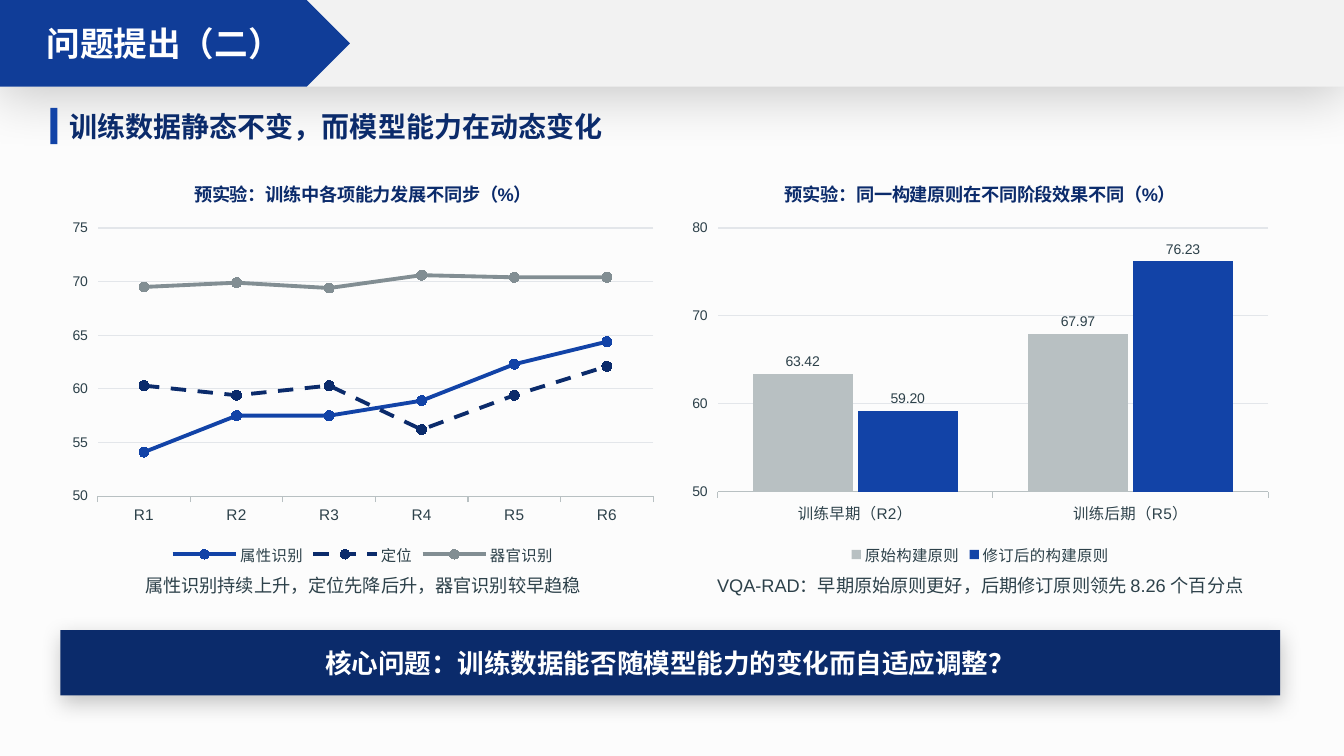
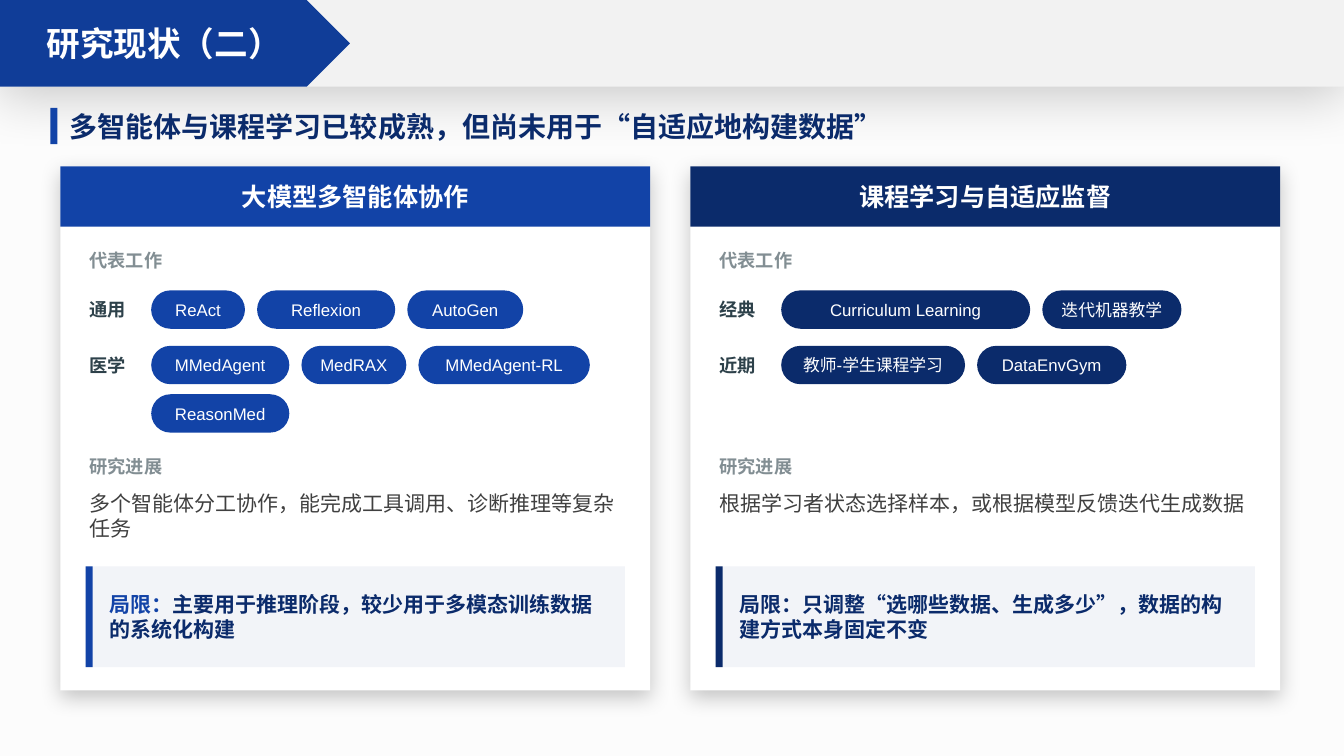
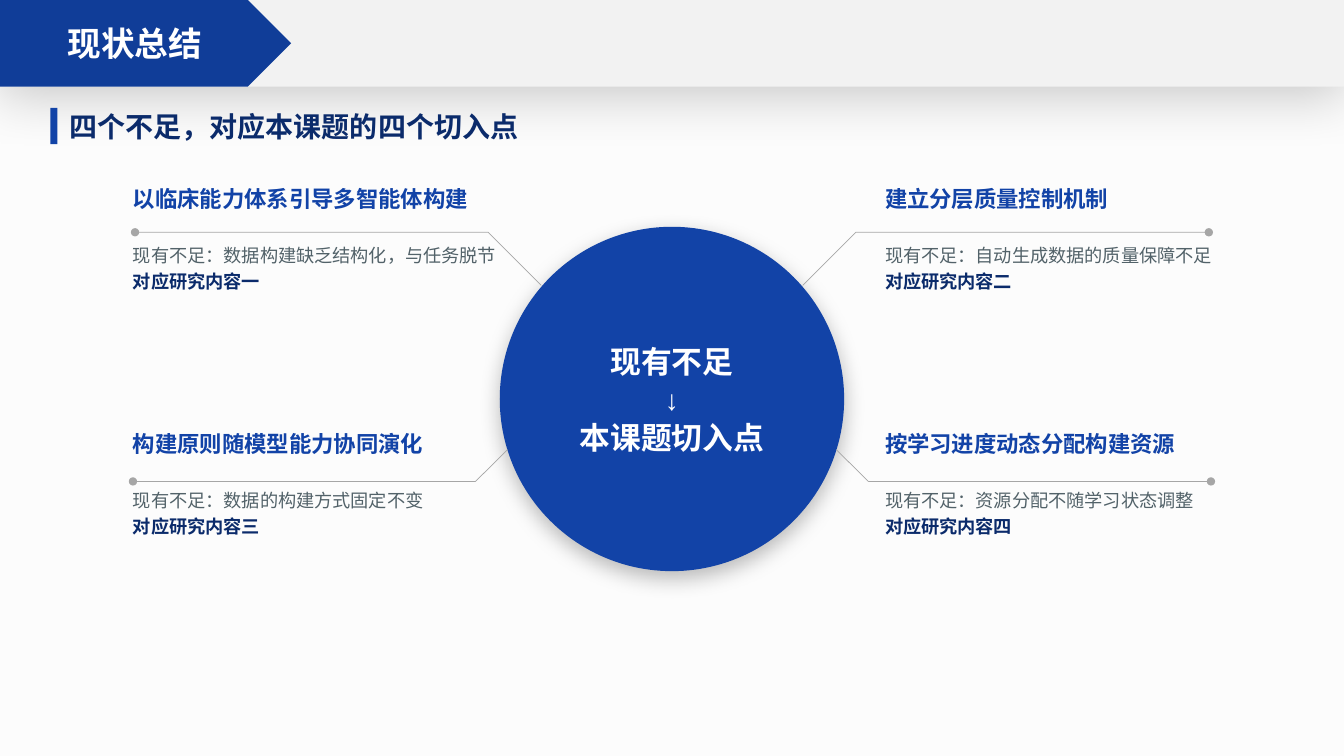
from lxml import etree
from pptx import Presentation
from pptx.chart.data import CategoryChartData
from pptx.dml.color import RGBColor
from pptx.enum.chart import XL_CHART_TYPE, XL_LABEL_POSITION, XL_LEGEND_POSITION, XL_MARKER_STYLE
from pptx.enum.dml import MSO_LINE
from pptx.enum.shapes import MSO_SHAPE
from pptx.enum.text import MSO_ANCHOR, PP_ALIGN
from pptx.oxml import parse_xml
from pptx.oxml.ns import nsdecls, qn
from pptx.util import Pt

W, H = 960, 540
FONT = "Arial"
BLUE, NAVY, TAG = "1243A7", "0B2B6B", "103D98"
WHITE, PAGE, BAND, PANEL = "FFFFFF", "FCFCFC", "F2F2F2", "F2F4F8"
INK, BODY, NOTE, MUTED = "2D414A", "404040", "526269", "828E93"
SILVER, GRID, LEADER = "B8C0C2", "E3E6EA", "A6A6A6"
LEFT, BAND_H = 43.2, 61.9
TEXT_INS, BOX_INS, PILL_INS = (2.9, 1.4), (5.8, 2.2), (2.9, 2.2)
CARD_SHADOW = (22, 15, 5)

CHARTS = [
    dict(x=43.2, w=432, kind=XL_CHART_TYPE.LINE_MARKERS, top=75, step=5,
         title="预实验：训练中各项能力发展不同步（%）",
         cats=["R1", "R2", "R3", "R4", "R5", "R6"],
         series=[("属性识别", BLUE, [54.1, 57.5, 57.5, 58.9, 62.3, 64.4]),
                 ("定位", NAVY, [60.3, 59.4, 60.3, 56.2, 59.4, 62.1]),
                 ("器官识别", MUTED, [69.5, 69.9, 69.4, 70.6, 70.4, 70.4])],
         dashed="定位",
         caption="属性识别持续上升，定位先降后升，器官识别较早趋稳"),
    dict(x=486, w=428.4, kind=XL_CHART_TYPE.COLUMN_CLUSTERED, top=80, step=10,
         title="预实验：同一构建原则在不同阶段效果不同（%）",
         cats=["训练早期（R2）", "训练后期（R5）"],
         series=[("原始构建原则", SILVER, [63.42, 67.97]),
                 ("修订后的构建原则", BLUE, [59.2, 76.23])],
         caption="VQA-RAD：早期原始原则更好，后期修订原则领先 8.26 个百分点"),
]

CARDS = [
    dict(title="大模型多智能体协作", color=BLUE,
         works=[("通用", ["ReAct", "Reflexion", "AutoGen"]),
                ("医学", ["MMedAgent", "MedRAX", "MMedAgent-RL", "ReasonMed"])],
         progress="多个智能体分工协作，能完成工具调用、诊断推理等复杂任务",
         limit="主要用于推理阶段，较少用于多模态训练数据的系统化构建"),
    dict(title="课程学习与自适应监督", color=NAVY,
         works=[("经典", ["Curriculum Learning", "迭代机器教学"]),
                ("近期", ["教师-学生课程学习", "DataEnvGym"])],
         progress="根据学习者状态选择样本，或根据模型反馈迭代生成数据",
         limit="只调整“选哪些数据、生成多少”，数据的构建方式本身固定不变"),
]

GAPS = [
    ("以临床能力体系引导多智能体构建", "数据构建缺乏结构化，与任务脱节", "一"),
    ("建立分层质量控制机制", "自动生成数据的质量保障不足", "二"),
    ("构建原则随模型能力协同演化", "数据的构建方式固定不变", "三"),
    ("按学习进度动态分配构建资源", "资源分配不随学习状态调整", "四"),
]
GAP_COLS = [(95, 270), (632.2, 259.2)]
GAP_ROWS = [133.2, 308.2]
LEADERS = [[(96.5, 165.9), (348.7, 165.9), (386.6, 203.8)],
           [(95, 343.9), (339.7, 343.9), (362.6, 321.2)]]


def rgb(hex_text):
    return RGBColor.from_string(hex_text)


def style(font, size, color, bold=False):
    font.name, font.size, font.bold = FONT, Pt(size), bold
    font.color.rgb = rgb(color)


def write(sp, paras, align=PP_ALIGN.LEFT, anchor=MSO_ANCHOR.MIDDLE, ins=TEXT_INS):
    tf = sp.text_frame
    tf.word_wrap = True
    tf.vertical_anchor = anchor
    tf.margin_left = tf.margin_right = Pt(ins[0])
    tf.margin_top = tf.margin_bottom = Pt(ins[1])
    for i, (before, runs) in enumerate(paras):
        p = tf.add_paragraph() if i else tf.paragraphs[0]
        p.alignment = align
        if before:
            p.space_before = Pt(before)
        for text, size, color, bold in runs:
            r = p.add_run()
            r.text = text
            style(r.font, size, color, bold)
    return tf


def label(s, x, y, w, h, text, size, color, bold=False, **kw):
    sp = s.shapes.add_textbox(Pt(x), Pt(y), Pt(w), Pt(h))
    write(sp, [(0, [(text, size, color, bold)])], **kw)


def box(s, x, y, w, h, fill, kind=MSO_SHAPE.RECTANGLE, shadow=None):
    sp = s.shapes.add_shape(kind, Pt(x), Pt(y), Pt(w), Pt(h))
    sp.fill.solid()
    sp.fill.fore_color.rgb = rgb(fill)
    sp.line.fill.background()
    sp.shadow.inherit = False
    if shadow:
        alpha, blur, dist = shadow
        sp._element.spPr.find(qn("a:effectLst")).append(parse_xml(
            f'<a:outerShdw {nsdecls("a")} blurRad="{Pt(blur)}" dist="{Pt(dist)}" dir="5400000" '
            f'algn="t" rotWithShape="0"><a:srgbClr val="000000"><a:alpha val="{alpha * 1000}"/>'
            '</a:srgbClr></a:outerShdw>'))
    return sp


def caption_box(s, x, y, w, h, fill, text, size, ins=BOX_INS, bold=True, **kw):
    sp = box(s, x, y, w, h, fill, **kw)
    write(sp, [(0, [(text, size, WHITE, bold)])], PP_ALIGN.CENTER, ins=ins)
    return sp


def new_slide(prs, tag, heading, tag_w=250):
    s = prs.slides.add_slide(prs.slide_layouts[6])
    box(s, 0, 0, W, BAND_H, BAND, shadow=(20, 38, 7))
    caption_box(s, 0, 0, tag_w, BAND_H, TAG, tag, 24, ins=(7.2, 3.6), kind=MSO_SHAPE.PENTAGON)
    box(s, 36, 77, 5, 26, BLUE)
    label(s, 46.8, 72, 871.2, 36, heading, 20, NAVY, True)
    return s


def add_chart(s, c):
    data = CategoryChartData()
    data.categories = c["cats"]
    for name, _, values in c["series"]:
        data.add_series(name, values)
    chart = s.shapes.add_chart(c["kind"], Pt(c["x"]), Pt(115.2), Pt(c["w"]), Pt(291.6), data).chart
    style(chart.font, 11, INK)
    chart.has_title = True
    r = chart.chart_title.text_frame.paragraphs[0].add_run()
    r.text = c["title"]
    style(r.font, 13, NAVY, True)
    chart.has_legend = True
    chart.legend.position = XL_LEGEND_POSITION.BOTTOM
    chart.legend.include_in_layout = False
    style(chart.legend.font, 11, INK)
    cat, val = chart.category_axis, chart.value_axis
    style(cat.tick_labels.font, 11, INK)
    style(val.tick_labels.font, 10, INK)
    val.minimum_scale, val.maximum_scale, val.major_unit = 50, c["top"], c["step"]
    val.format.line.fill.background()
    for line, color in ((cat.format.line, SILVER), (val.major_gridlines.format.line, GRID)):
        line.color.rgb = rgb(color)
        line.width = Pt(0.75)
    plot = chart.plots[0]
    plot.vary_by_categories = False
    is_line = c["kind"] == XL_CHART_TYPE.LINE_MARKERS
    if not is_line:
        plot.gap_width, plot.overlap = 70, -5
    for ser, (name, color, _) in zip(plot.series, c["series"]):
        if is_line:
            ser.smooth = False
            ser.format.line.color.rgb = rgb(color)
            ser.format.line.width = Pt(2.75)
            if name == c["dashed"]:
                ser.format.line.dash_style = MSO_LINE.DASH
            ser.marker.style, ser.marker.size = XL_MARKER_STYLE.CIRCLE, 7
            ser.marker.format.line.color.rgb = rgb(color)
            fill = ser.marker.format.fill
        else:
            fill = ser.format.fill
            labels = ser.data_labels
            labels.show_value = True
            labels.position = XL_LABEL_POSITION.OUTSIDE_END
            labels.number_format, labels.number_format_is_linked = "0.00", False
            style(labels.font, 10, INK)
        fill.solid()
        fill.fore_color.rgb = rgb(color)


def pill_width(text):
    return 27.4 + sum(7.92 if ch.isascii() else 12 for ch in text)


def add_card(s, x, card):
    color, inner, inner_w = card["color"], x + 18, 385.2
    box(s, x, 118.8, 421.2, 374.4, WHITE, shadow=CARD_SHADOW)
    caption_box(s, x, 118.8, 421.2, 43.2, color, card["title"], 18)
    for y, text in ((176.4, "代表工作"), (324, "研究进展")):
        label(s, inner, y, 216, 25.2, text, 13, MUTED, True, anchor=MSO_ANCHOR.TOP)
    for i, (group, names) in enumerate(card["works"]):
        y = 207.4 + i * 39.6
        label(s, inner, y, 43.2, 27.4, group, 13, INK, True)
        px = x + 64.8
        for name in names:
            w = pill_width(name)
            if px + w > inner + inner_w:
                px, y = x + 64.8, y + 34.6
            sp = caption_box(s, px, y, w, 27.4, color, name, 12, ins=PILL_INS, bold=False,
                             kind=MSO_SHAPE.ROUNDED_RECTANGLE)
            sp.adjustments[0] = 0.5
            px += w + 8.64
    label(s, inner, 349.2, inner_w, 50.4, card["progress"], 15, BODY, anchor=MSO_ANCHOR.TOP)
    box(s, inner, 404.6, inner_w, 72, PANEL)
    box(s, inner, 404.6, 5, 72, color)
    sp = s.shapes.add_textbox(Pt(inner + 14.4), Pt(404.6), Pt(360), Pt(72))
    write(sp, [(0, [("局限：", 15, color, True), (card["limit"], 15, NAVY, True)])])


def add_leader(s, points):
    pts = [(Pt(x), Pt(y)) for x, y in points]
    fb = s.shapes.build_freeform(*pts[0])
    fb.add_line_segments(pts[1:], close=False)
    sp = fb.convert_to_shape()
    sp.fill.background()
    sp.line.color.rgb = rgb(LEADER)
    sp.line.width = Pt(0.5)
    sp.shadow.inherit = False
    etree.SubElement(sp.line._get_or_add_ln(), qn("a:headEnd"), type="oval")


def build_question(prs):
    s = new_slide(prs, "问题提出（二）", "训练数据静态不变，而模型能力在动态变化")
    for c in CHARTS:
        add_chart(s, c)
        label(s, c["x"], 409, c["w"], 32.4, c["caption"], 13, INK,
              align=PP_ALIGN.CENTER, anchor=MSO_ANCHOR.TOP)
    caption_box(s, LEFT, 450, 871.2, 46.8, NAVY,
                "核心问题：训练数据能否随模型能力的变化而自适应调整？", 19, shadow=CARD_SHADOW)


def build_status(prs):
    s = new_slide(prs, "研究现状（二）", "多智能体与课程学习已较成熟，但尚未用于“自适应地构建数据”")
    for i, card in enumerate(CARDS):
        add_card(s, LEFT + i * 450, card)


def build_summary(prs):
    s = new_slide(prs, "现状总结", "四个不足，对应本课题的四个切入点", tag_w=208)
    hub = box(s, W / 2 - 123, 162, 246, 246, BLUE, MSO_SHAPE.OVAL, (25, 15, 5))
    write(hub, [(0, [("现有不足", 22, WHITE, True)]),
                (2, [("↓", 20, WHITE, False)]),
                (2, [("本课题切入点", 22, WHITE, True)])], PP_ALIGN.CENTER, ins=(7.2, 3.6))
    for i, (entry, lack, number) in enumerate(GAPS):
        x, w = GAP_COLS[i % 2]
        sp = s.shapes.add_textbox(Pt(x), Pt(GAP_ROWS[i // 2]), Pt(w), Pt(125.3))
        tf = write(sp, [(0, [(entry, 16, BLUE, True)]),
                        (23, [("现有不足：" + lack, 13, NOTE, False)]),
                        (3, [("对应研究内容" + number, 13, NAVY, True)])],
                   anchor=MSO_ANCHOR.TOP, ins=(0, 0))
        tf.paragraphs[0].line_spacing = Pt(18)
    for points in LEADERS:
        add_leader(s, points)
        add_leader(s, [(W - x, y) for x, y in points])


def main():
    prs = Presentation()
    prs.slide_width, prs.slide_height = Pt(W), Pt(H)
    fill = prs.slide_master.background.fill
    fill.solid()
    fill.fore_color.rgb = rgb(PAGE)
    build_question(prs)
    build_status(prs)
    build_summary(prs)
    prs.save("out.pptx")


if __name__ == "__main__":
    main()
